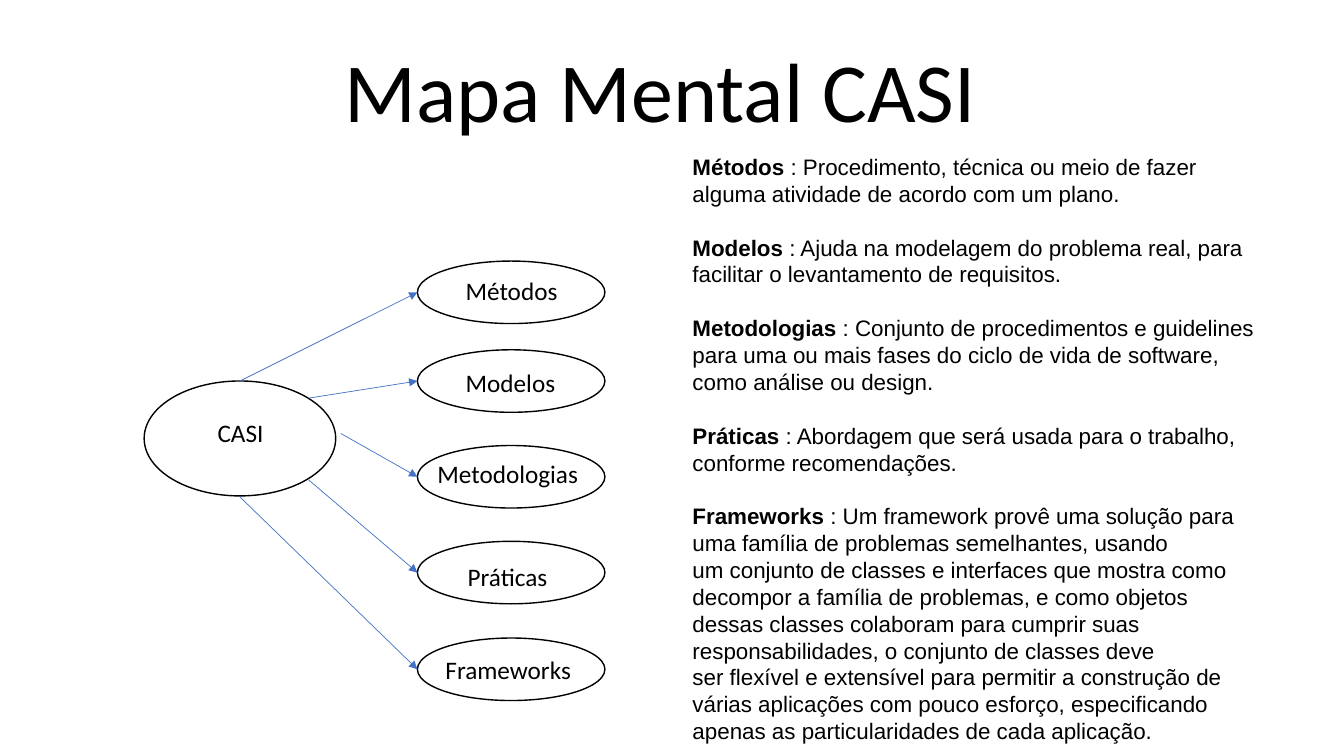
"""Build the CASI mind map slide."""
from lxml import etree
from pptx import Presentation
from pptx.dml.color import RGBColor
from pptx.enum import shapes as kinds, text as txt
from pptx.oxml import ns
from pptx.util import Inches, Pt

BLACK = RGBColor(0, 0, 0)
WHITE = RGBColor(255, 255, 255)
BLUE = RGBColor(0x44, 0x72, 0xC4)

TITLE = "Mapa Mental CASI "
ROOT = (1.43, 3.78, 1.9, 1.14)
ROOT_TEXT = ("CASI", (1.39, 4.09, 1.99, 0.4))
LEAF_X, LEAF_W, LEAF_H = 4.14, 1.86, 0.62
# name, leaf top, label box, arrow start
LEAVES = [
    ("Métodos", 2.59, (4.52, 2.68, 1.33, 0.4), (2.38, 3.78)),
    ("Modelos", 3.47, (4.52, 3.59, 1.22, 0.4), (3.06, 3.95)),
    ("Metodologias", 4.42, (4.24, 4.5, 1.67, 0.4), (3.38, 4.3)),
    ("Práticas", 5.37, (4.54, 5.52, 1.32, 0.4), (3.06, 4.76)),
    ("Frameworks", 6.33, (4.32, 6.44, 1.5, 0.4), (2.38, 4.93)),
]
NOTES = [
    "Procedimento, técnica ou meio de fazer alguma atividade de acordo com um plano.",
    "Ajuda na modelagem do problema real, para facilitar o levantamento de requisitos.",
    "Conjunto de procedimentos e guidelines para uma ou mais fases do ciclo de vida de "
    "software, como análise ou design.",
    "Abordagem que será usada para o trabalho, conforme recomendações.",
    "Um framework provê uma\u00a0solução para uma família de problemas\u00a0semelhantes, "
    "usando um\u00a0conjunto de classes e interfaces que mostra como decompor\u00a0a família "
    "de problemas, e como objetos dessas classes\u00a0colaboram\u00a0para cumprir suas "
    "responsabilidades, o conjunto de classes deve ser\u00a0flexível e extensível\u00a0para "
    "permitir a construção de várias aplicações com pouco esforço, especificando apenas as "
    "particularidades de cada aplicação.",
]
NOTE_BOX = (6.77, 1.47, 5.83, 6.02)
NOTE_LINE = Pt(19.2)


def inches(box):
    return [Inches(n) for n in box]


def write(para, words, size, font="Calibri", bold=False):
    run = para.add_run()
    run.text = words
    look = {"size": Pt(size), "name": font, "bold": bold}
    for key, value in look.items():
        setattr(run.font, key, value)
    run.font.color.rgb = BLACK


def box(place):
    frame = slide.shapes.add_textbox(*inches(place)).text_frame
    frame.word_wrap = True
    return frame


def label(words, place, align):
    para = box(place).paragraphs[0]
    para.alignment = align
    write(para, words, 18)


def oval(place):
    shape = slide.shapes.add_shape(kinds.MSO_SHAPE.OVAL, *inches(place))
    shape.shadow.inherit = False
    shape.fill.solid()
    shape.fill.fore_color.rgb = WHITE
    shape.line.color.rgb = BLACK
    shape.line.width = Pt(1)


def arrow(start, end):
    link = slide.shapes.add_connector(
        kinds.MSO_CONNECTOR.STRAIGHT, *inches(start + end))
    link.line.color.rgb = BLUE
    link.line.width = Pt(0.5)
    etree.SubElement(link.line._get_or_add_ln(), ns.qn("a:tailEnd"), type="triangle")
    etree.SubElement(link._element.spPr, ns.qn("a:effectLst"))


deck = Presentation()
deck.slide_width, deck.slide_height = Inches(13.33), Inches(7.5)
slide = deck.slides.add_slide(deck.slide_layouts[5])

title = slide.shapes.title
for side, value in zip(("left", "top", "width", "height"), inches((1.64, 0.29, 10, 1.16))):
    setattr(title, side, value)
title.text_frame.vertical_anchor = txt.MSO_ANCHOR.BOTTOM
head = title.text_frame.paragraphs[0]
head.alignment = txt.PP_ALIGN.CENTER
head.line_spacing = 0.9
write(head, TITLE, 60)

oval(ROOT)
label(*ROOT_TEXT, txt.PP_ALIGN.CENTER)
for name, top, place, start in LEAVES:
    oval((LEAF_X, top, LEAF_W, LEAF_H))
    label(name, place, txt.PP_ALIGN.LEFT)
    arrow(start, (LEAF_X, top + LEAF_H / 2))

frame = box(NOTE_BOX)
for row, (leaf, note) in enumerate(zip(LEAVES, NOTES)):
    para = frame.add_paragraph() if row else frame.paragraphs[0]
    para.line_spacing = NOTE_LINE
    para.space_before = NOTE_LINE if row else Pt(0)
    write(para, leaf[0], 16, "Arial", True)
    write(para, " : " + note, 16, "Arial")

deck.save("out.pptx")
